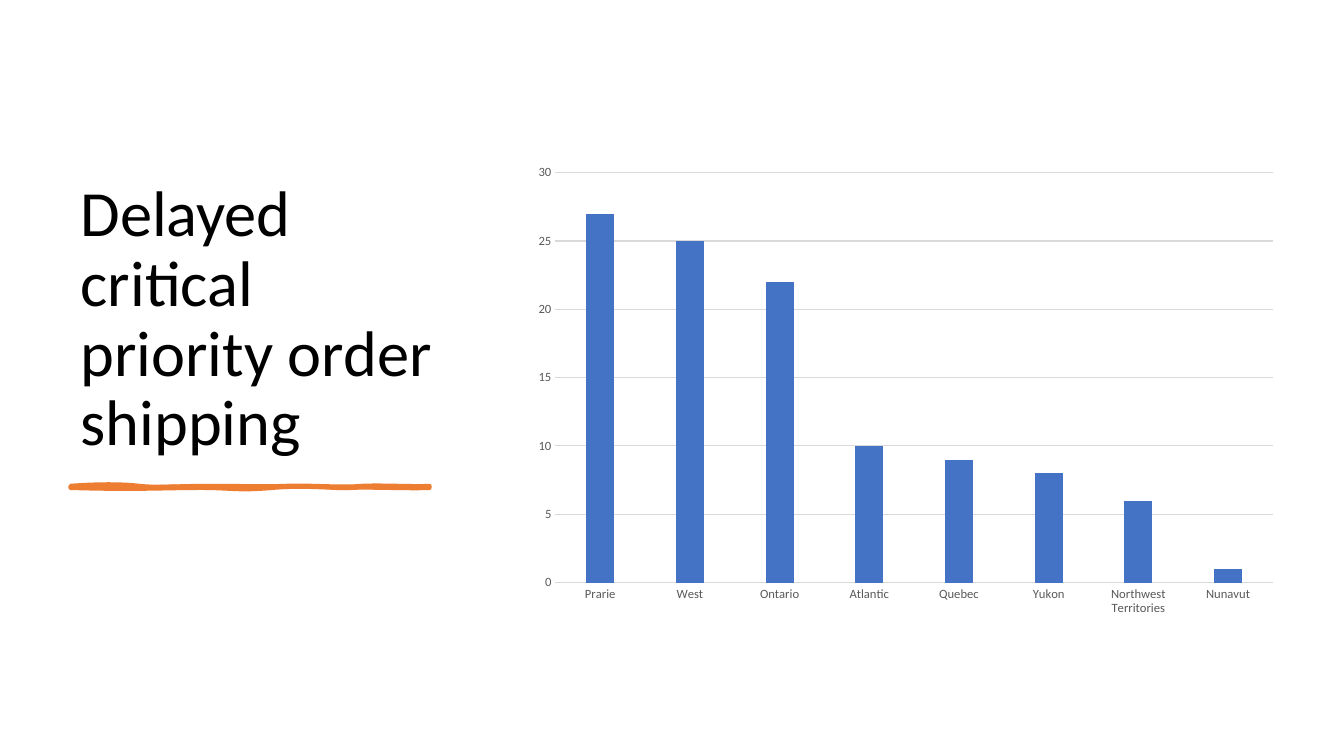
from lxml import etree
from pptx import Presentation
from pptx import util as u
from pptx.chart.data import CategoryChartData
from pptx.dml.color import RGBColor
from pptx.enum import chart as ch, text
from pptx.oxml.ns import qn

COLORS = {"ink": "000000", "accent": "ED7D31", "bar": "4472C4",
          "label": "595959", "grid": "D9D9D9"}

REGIONS = {"Prarie": 27, "West": 25, "Ontario": 22, "Atlantic": 10,
           "Quebec": 9, "Yukon": 8, "Northwest Territories": 6, "Nunavut": 1}

STROKE_START = (0.7, 4.82)
STROKE_OUTLINE = [
    ((0.97, 4.8), (1.21, 4.8), (1.38, 4.82)),
    ((1.55, 4.84), (1.77, 4.82), (2.09, 4.82)),
    ((2.41, 4.82), (2.6, 4.83), (2.84, 4.82)),
    ((3.08, 4.81), (3.39, 4.84), (3.59, 4.82)),
    ((3.79, 4.81), (4.12, 4.83), (4.26, 4.82)),
    ((4.26, 4.83), (4.26, 4.84), (4.26, 4.84)),
    ((4.08, 4.85), (3.64, 4.83), (3.48, 4.84)),
    ((3.32, 4.85), (3.04, 4.81), (2.7, 4.84)),
    ((2.35, 4.87), (2.31, 4.84), (1.99, 4.84)),
    ((1.66, 4.84), (1.32, 4.86), (0.7, 4.84)),
    ((0.7, 4.84), (0.7, 4.83), (0.7, 4.82)),
]
STROKE_BODY = [
    ((1.02, 4.84), (1.1, 4.83), (1.38, 4.82)),
    ((1.66, 4.81), (1.69, 4.8), (1.99, 4.82)),
    ((2.28, 4.84), (2.61, 4.83), (2.77, 4.82)),
    ((2.93, 4.81), (3.27, 4.85), (3.44, 4.82)),
    ((3.62, 4.8), (3.97, 4.86), (4.26, 4.82)),
    ((4.26, 4.83), (4.26, 4.83), (4.26, 4.84)),
    ((4.12, 4.84), (3.72, 4.87), (3.55, 4.84)),
    ((3.38, 4.82), (3.09, 4.84), (2.77, 4.84)),
    ((2.44, 4.84), (2.4, 4.83), (2.16, 4.84)),
    ((1.93, 4.85), (1.79, 4.83), (1.45, 4.84)),
    ((1.11, 4.85), (0.92, 4.84), (0.7, 4.84)),
    ((0.7, 4.83), (0.7, 4.83), (0.7, 4.82)),
]


class SlideBuilder:
    """Holds the style and the current slide."""

    font = "Calibri"

    def __init__(self, slide):
        self.s = slide

    def color(self, name):
        """Return a named colour."""
        return RGBColor.from_string(COLORS[name])

    def style_font(self, font, size, color):
        """Set the family, size and colour of a font."""
        font.name, font.size = self.font, u.Pt(size)
        font.color.rgb = self.color(color)

    def style_fill(self, fill, color):
        """Set a solid fill."""
        fill.solid()
        fill.fore_color.rgb = self.color(color)

    def style_line(self, line, color, width):
        """Set the colour and width of a line."""
        line.color.rgb = self.color(color)
        line.width = u.Pt(width)

    def title(self, words, box, size):
        """Fill and place the title placeholder."""
        sp = self.s.shapes.title
        sp.left, sp.top, sp.width, sp.height = map(u.Inches, box)
        tf = sp.text_frame
        tf.text = words
        tf.word_wrap = True
        tf.auto_size = text.MSO_AUTO_SIZE.NONE
        tf.vertical_anchor = text.MSO_ANCHOR.BOTTOM
        p = tf.paragraphs[0]
        p.alignment = text.PP_ALIGN.LEFT
        p.line_spacing = 0.9
        self.style_font(p.runs[0].font, size, "ink")

    def brush(self, start, outline, body, color, width):
        """Draw a brush stroke from an outlined and a filled closed curve."""
        fb = self.s.shapes.build_freeform(*map(u.Inches, start))
        fb.add_line_segments([tuple(map(u.Inches, c[-1])) for c in outline])
        sp = fb.convert_to_shape()
        sp.shadow.inherit = False
        self.style_fill(sp.fill, color)
        self.style_line(sp.line, color, width)
        contours = sp._element.find(".//" + qn("a:pathLst"))
        contours.clear()
        self.contour(contours, sp, start, outline, {"fill": "none"})
        self.contour(contours, sp, start, body, {"stroke": "0"})

    def contour(self, contours, sp, start, curves, flags):
        """Append one closed chain of cubic curves to a freeform."""
        size = {"w": str(sp.width), "h": str(sp.height)}
        curve = etree.SubElement(contours, qn("a:path"), {**size, **flags})
        steps = [("moveTo", [start])] + [("cubicBezTo", c) for c in curves]
        for tag, points in steps:
            step = etree.SubElement(curve, qn("a:" + tag))
            for x, y in points:
                etree.SubElement(step, qn("a:pt"), {
                    "x": str(u.Inches(x) - sp.left), "y": str(u.Inches(y) - sp.top)})
        etree.SubElement(curve, qn("a:close"))

    def column_chart(self, values, box, plot_box):
        """Add a clustered column chart with a fixed inner plot area."""
        data = CategoryChartData()
        data.categories = list(values)
        data.add_series("Series 1", list(values.values()))
        chart = self.s.shapes.add_chart(
            ch.XL_CHART_TYPE.COLUMN_CLUSTERED, *map(u.Inches, box), data).chart
        chart.has_legend = chart.has_title = False
        self.style_font(chart.font, 10, "ink")
        plot = chart.plots[0]
        plot.gap_width, plot.overlap = 219, -27
        plot.vary_by_categories = False
        self.style_fill(plot.series[0].format.fill, "bar")
        for axis in (chart.category_axis, chart.value_axis):
            axis.major_tick_mark = axis.minor_tick_mark = ch.XL_TICK_MARK.NONE
            self.style_font(axis.tick_labels.font, 9, "label")
        self.style_line(chart.category_axis.format.line, "grid", 0.75)
        axis = chart.value_axis
        axis.minimum_scale, axis.maximum_scale, axis.major_unit = 0, 30, 5
        axis.format.line.fill.background()
        self.style_line(axis.major_gridlines.format.line, "grid", 0.75)
        self.plot_layout(chart, plot_box)

    def plot_layout(self, chart, plot_box):
        """Fix the inner plot area as fractions of the chart."""
        area = chart.plots[0]._element.getparent()
        for old in area.findall(qn("c:layout")):
            area.remove(old)
        layout = etree.Element(qn("c:layout"))
        area.insert(0, layout)
        manual = etree.SubElement(layout, qn("c:manualLayout"))
        settings = [("layoutTarget", "inner"), ("xMode", "edge"), ("yMode", "edge")]
        for tag, value in settings + list(zip("xywh", plot_box)):
            etree.SubElement(manual, qn("c:" + tag)).set("val", str(value))


def main():
    """Build and save the slide."""
    prs = Presentation()
    prs.slide_width, prs.slide_height = u.Inches(13.33), u.Inches(7.5)
    b = SlideBuilder(prs.slides.add_slide(prs.slide_layouts[5]))
    b.title("Delayed critical priority order shipping", (0.7, 0.7, 3.91, 3.91), 46)
    b.brush(STROKE_START, STROKE_OUTLINE, STROKE_BODY, "accent", 3)
    b.column_chart(REGIONS, (5.09, 0.7, 7.89, 6.07), (0.053, 0.167, 0.902, 0.67))
    prs.save("out.pptx")


if __name__ == "__main__":
    main()
